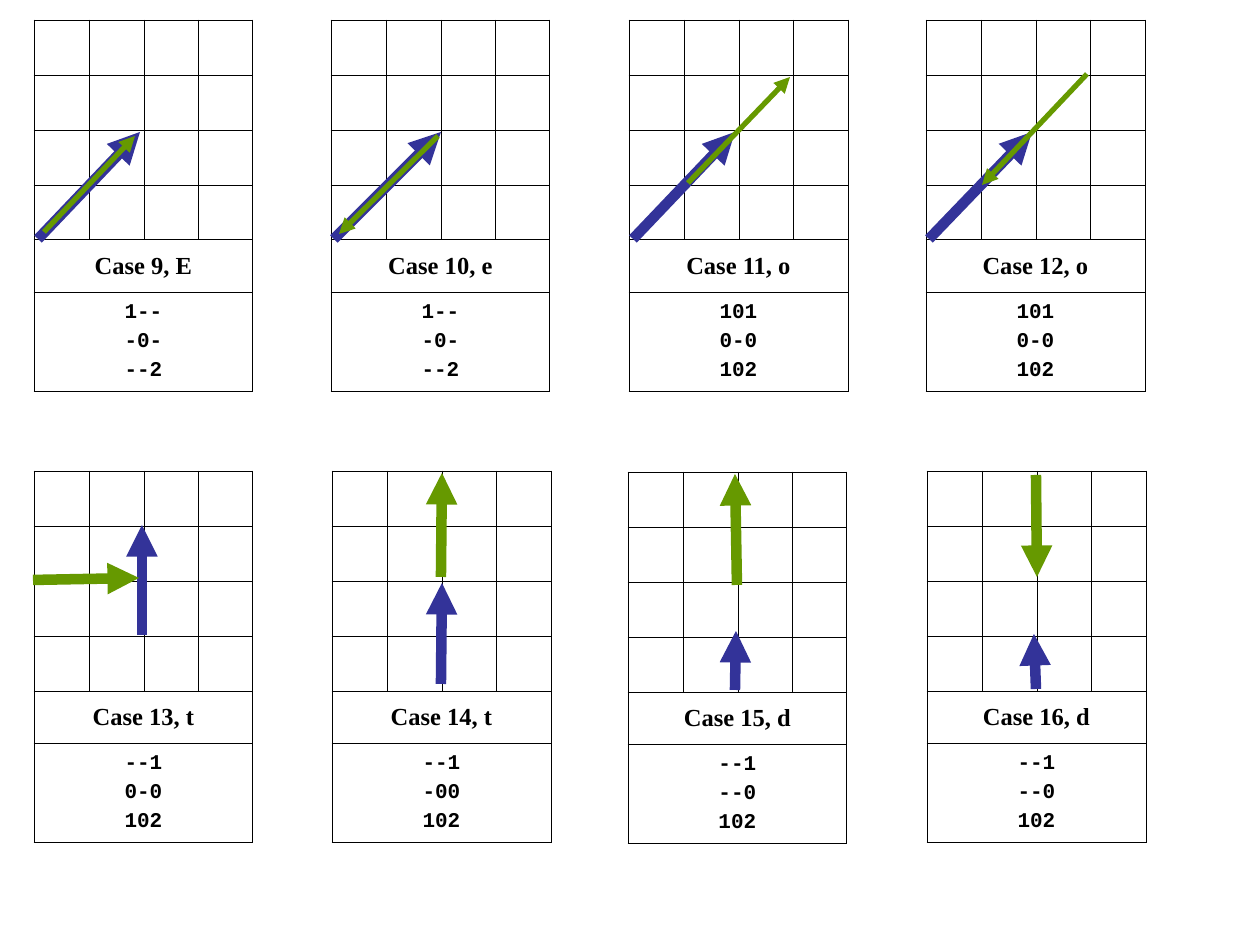
import pptx
import pptx.util
import pptx.dml.color
import pptx.enum.shapes
import pptx.enum.text
import pptx.oxml.ns
from lxml import etree

PX = 914400 // 126
COLORS = {"grid": "000000", "first": "333399", "second": "669900"}
CASES = [
    {"title": "Case 9, E", "matrix": ["1--", "-0-", "--2"], "at": (34, 20),
     "first": (38, 239, 140, 132, 6), "second": (44, 232, 135, 136, 3)},
    {"title": "Case 10, e", "matrix": ["1--", "-0-", "--2"], "at": (331, 20),
     "first": (334, 239, 441, 132, 6), "second": (438, 136, 339, 234, 3)},
    {"title": "Case 11, o", "matrix": ["101", "0-0", "102"], "at": (629, 20),
     "first": (633, 239, 735, 132, 6), "second": (688, 183, 790, 77, 3)},
    {"title": "Case 12, o", "matrix": ["101", "0-0", "102"], "at": (926, 20),
     "first": (929, 239, 1032, 132, 6), "second": (1087, 74, 982, 185, 3)},
    {"title": "Case 13, t", "matrix": ["--1", "0-0", "102"], "at": (34, 471),
     "first": (142, 635, 142, 525, 6), "second": (33, 580, 139, 578, 6)},
    {"title": "Case 14, t", "matrix": ["--1", "-00", "102"], "at": (332, 471),
     "first": (441, 684, 442, 583, 6), "second": (441, 577, 442, 473, 6)},
    {"title": "Case 15, d", "matrix": ["--1", "--0", "102"], "at": (628, 472),
     "first": (735, 690, 736, 631, 6), "second": (737, 585, 735, 474, 6)},
    {"title": "Case 16, d", "matrix": ["--1", "--0", "102"], "at": (927, 471),
     "first": (1036, 689, 1034, 634, 6), "second": (1036, 475, 1037, 577, 6)},
]
COLUMNS = [55, 55, 54, 55]
ROWS = [55, 55, 55, 55, 53, 99]
TITLE_FONT = {"name": "Times New Roman", "size": pptx.util.Pt(14), "bold": True}
MATRIX_FONT = {"name": "Courier New", "size": pptx.util.Pt(12), "bold": True}


def rgb(name):
    return pptx.dml.color.RGBColor.from_string(COLORS[name])


def frame_cell(cell):
    properties = cell._tc.get_or_add_tcPr()
    for side in ("a:lnL", "a:lnR", "a:lnT", "a:lnB"):
        border = etree.SubElement(properties, pptx.oxml.ns.qn(side), w="5715")
        fill = etree.SubElement(border, pptx.oxml.ns.qn("a:solidFill"))
        etree.SubElement(fill, pptx.oxml.ns.qn("a:srgbClr"), val=COLORS["grid"])
    cell.fill.background()


def write_cell(cell, lines, font):
    cell.vertical_anchor = pptx.enum.text.MSO_ANCHOR.MIDDLE
    cell.text = "\n".join(lines)
    for number, para in enumerate(cell.text_frame.paragraphs):
        para.alignment = pptx.enum.text.PP_ALIGN.CENTER
        para.space_before = pptx.util.Pt(3 if number else 0)
        for span in para.runs:
            span.font.color.rgb = rgb("grid")
            for key, value in font.items():
                setattr(span.font, key, value)


def add_case_table(page, case):
    left, top = case["at"]
    box = (left, top, sum(COLUMNS), sum(ROWS))
    table = page.shapes.add_table(len(ROWS), len(COLUMNS), *(v * PX for v in box)).table
    table.first_row = table.horz_banding = False
    for column, width in zip(table.columns, COLUMNS):
        column.width = width * PX
    for row, height in zip(table.rows, ROWS):
        row.height = height * PX
    for cell in table.iter_cells():
        frame_cell(cell)
    texts = [([case["title"]], TITLE_FONT), (case["matrix"], MATRIX_FONT)]
    for row, (lines, font) in enumerate(texts, start=4):
        cell = table.cell(row, 0)
        cell.merge(table.cell(row, len(COLUMNS) - 1))
        write_cell(cell, lines, font)


def add_arrow(page, arrow, color):
    *ends, weight = arrow
    line = page.shapes.add_connector(
        pptx.enum.shapes.MSO_CONNECTOR.STRAIGHT, *(v * PX for v in ends))
    line.line.color.rgb = rgb(color)
    line.line.width = pptx.util.Pt(weight)
    outline = line.line._get_or_add_ln()
    etree.SubElement(outline, pptx.oxml.ns.qn("a:tailEnd"), type="triangle")
    etree.SubElement(line._element.spPr, pptx.oxml.ns.qn("a:effectLst"))


def main():
    deck = pptx.Presentation()
    deck.slide_width = pptx.util.Inches(10)
    deck.slide_height = pptx.util.Inches(7.5)
    page = deck.slides.add_slide(deck.slide_layouts[6])
    for case in CASES:
        add_case_table(page, case)
        for arrow in ("first", "second"):
            add_arrow(page, case[arrow], arrow)
    deck.save("out.pptx")


if __name__ == "__main__":
    main()
